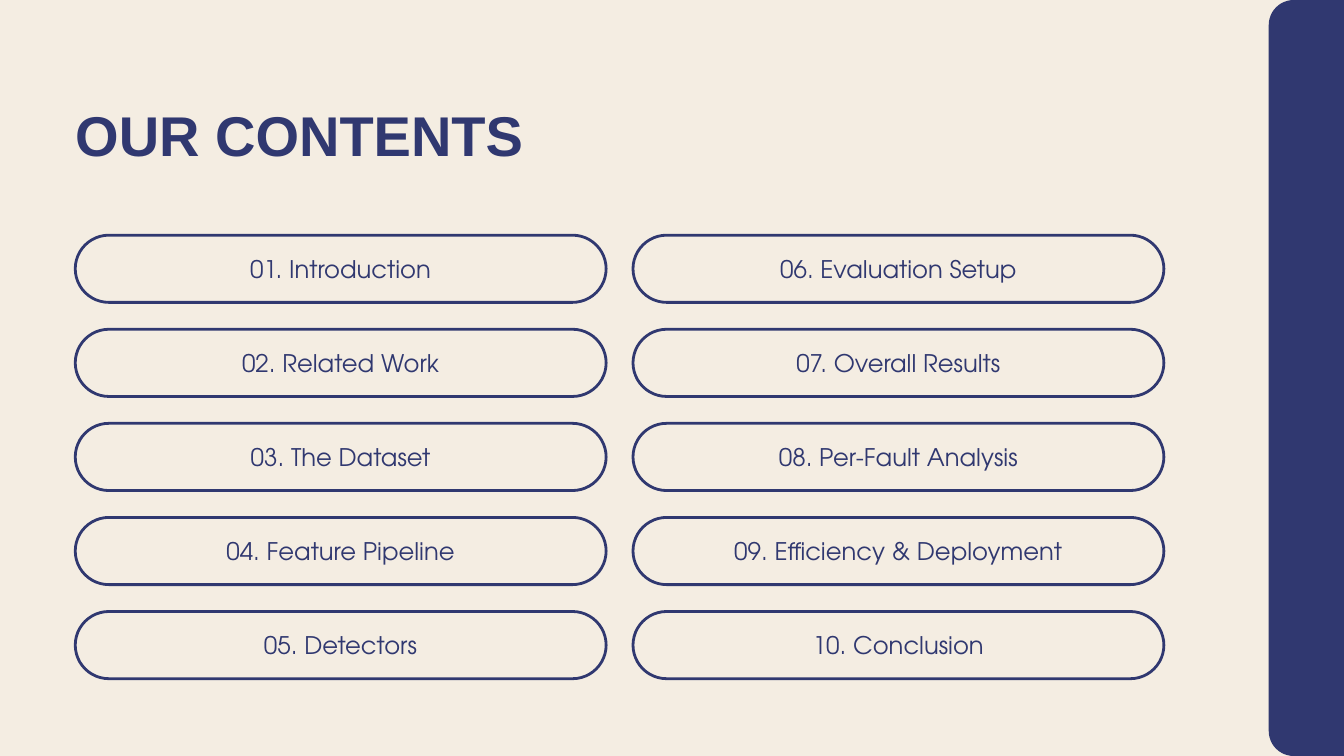
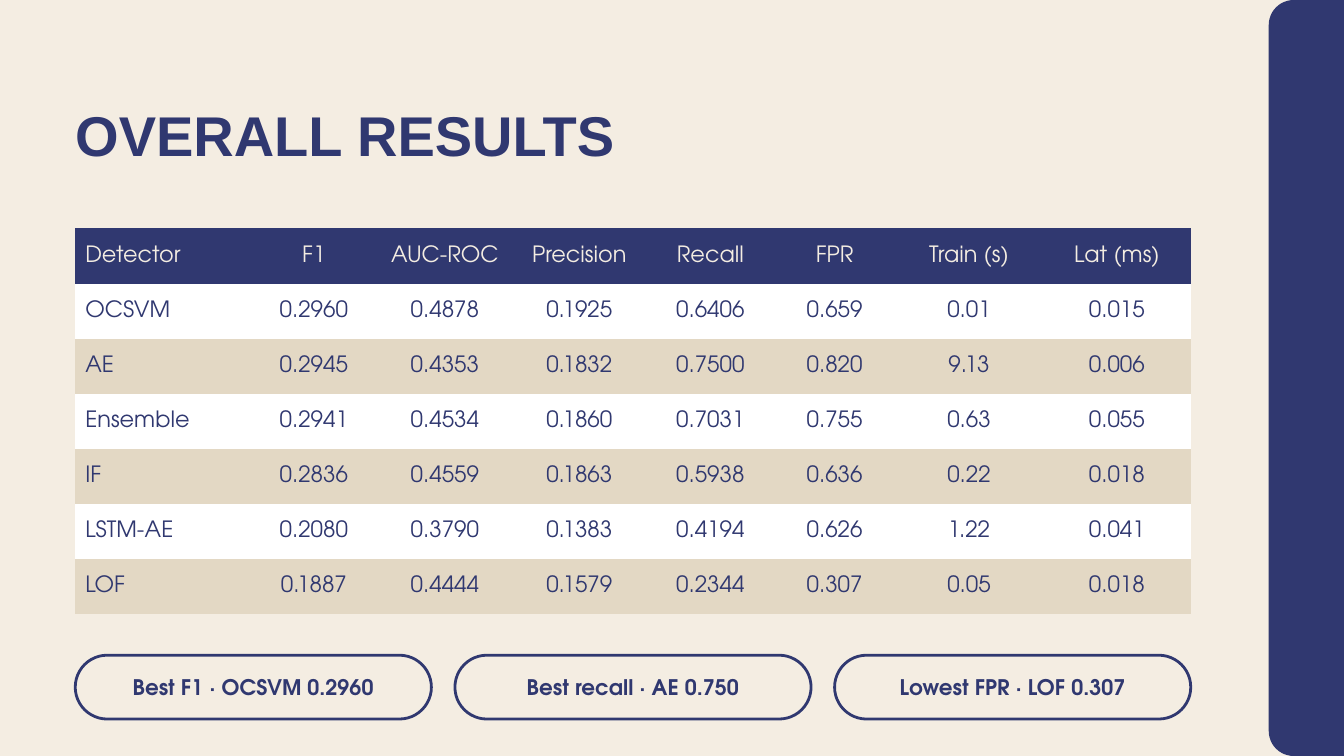
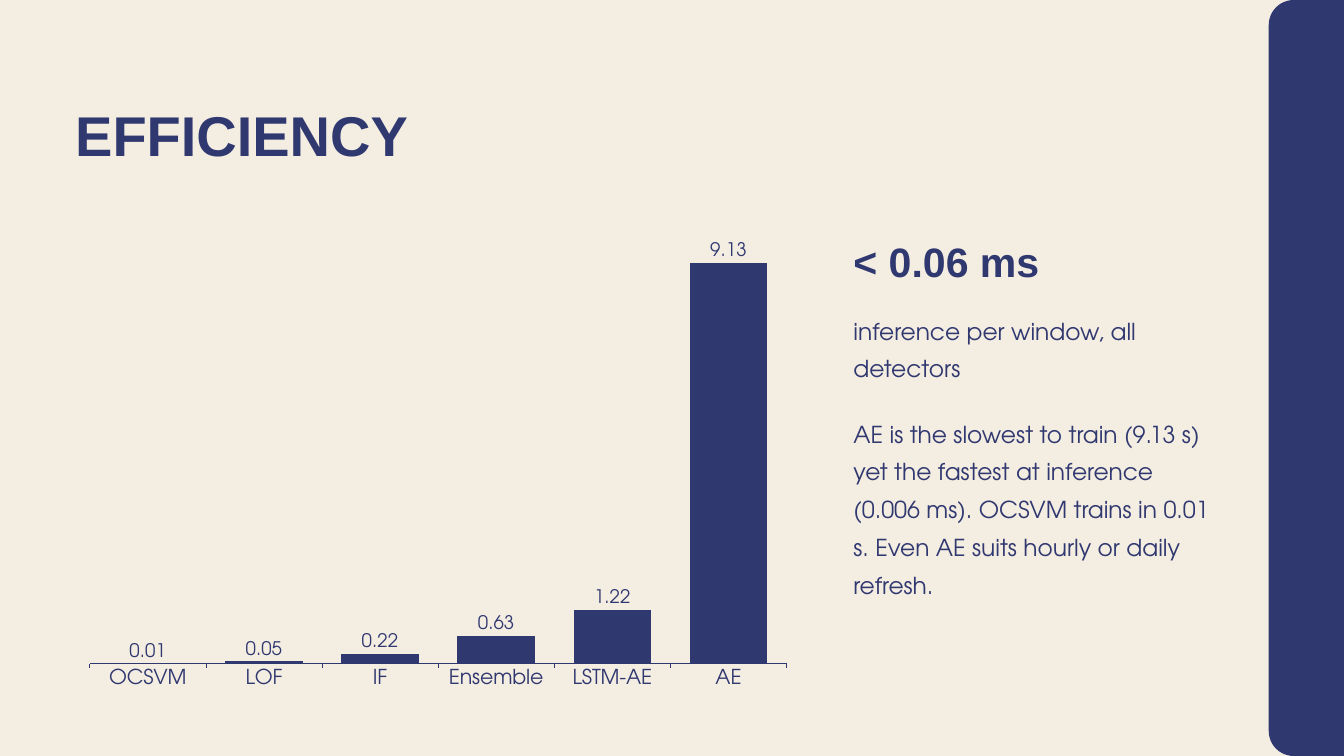
from dataclasses import dataclass
from typing import NamedTuple

from pptx import Presentation
from pptx.chart.data import CategoryChartData as Data
from pptx.dml.color import RGBColor as Rgb
from pptx.enum.chart import XL_CHART_TYPE as Kind
from pptx.enum.chart import XL_LABEL_POSITION as Spot
from pptx.enum.chart import XL_TICK_MARK as Tick
from pptx.enum.shapes import MSO_SHAPE as Form
from pptx.enum.text import MSO_ANCHOR as Anchor
from pptx.enum.text import MSO_AUTO_SIZE as Fit
from pptx.enum.text import PP_ALIGN as Align
from pptx.util import Inches, Pt


@dataclass(frozen=True)
class Theme:
    navy: Rgb = Rgb.from_string("303870")
    cream: Rgb = Rgb.from_string("F4EDE2")
    sand: Rgb = Rgb.from_string("E3D8C4")
    white: Rgb = Rgb.from_string("FFFFFF")
    head: str = "Arial"
    body: str = "TeX Gyre Adventor"
    title: int = 60
    stat: int = 44
    item: int = 26
    text: int = 25
    cell: int = 24
    badge: int = 23
    axis: int = 22
    label: int = 20


class Box(NamedTuple):
    x: float
    y: float
    w: float
    h: float

    def emu(self):
        return [Inches(v) for v in self]


T = Theme()
LEFT = 1.12
PLAIN = "{2D5ABB26-0587-4C30-8999-92F81FD0307C}"  # table style without grid

ITEMS = [
    "Introduction", "Related Work", "The Dataset", "Feature Pipeline", "Detectors",
    "Evaluation Setup", "Overall Results", "Per-Fault Analysis",
    "Efficiency & Deployment", "Conclusion",
]
COLS = [2.6, 1.9, 2, 2, 1.9, 1.8, 2.2, 2.2]
ROWS = [
    ["Detector", "F1", "AUC-ROC", "Precision", "Recall", "FPR", "Train (s)", "Lat (ms)"],
    ["OCSVM", "0.2960", "0.4878", "0.1925", "0.6406", "0.659", "0.01", "0.015"],
    ["AE", "0.2945", "0.4353", "0.1832", "0.7500", "0.820", "9.13", "0.006"],
    ["Ensemble", "0.2941", "0.4534", "0.1860", "0.7031", "0.755", "0.63", "0.055"],
    ["IF", "0.2836", "0.4559", "0.1863", "0.5938", "0.636", "0.22", "0.018"],
    ["LSTM-AE", "0.2080", "0.3790", "0.1383", "0.4194", "0.626", "1.22", "0.041"],
    ["LOF", "0.1887", "0.4444", "0.1579", "0.2344", "0.307", "0.05", "0.018"],
]
BADGES = ["Best F1 · OCSVM 0.2960", "Best recall · AE 0.750", "Lowest FPR · LOF 0.307"]
TIMES = {"OCSVM": 0.01, "LOF": 0.05, "IF": 0.22, "Ensemble": 0.63, "LSTM-AE": 1.22, "AE": 9.13}
NOTE = (
    "AE is the slowest to train (9.13 s) yet the fastest at inference (0.006 ms). "
    "OCSVM trains in 0.01 s. Even AE suits hourly or daily refresh."
)


# Formatting helpers
def put(obj, vals):
    for name, val in vals.items():
        setattr(obj, name, val)


def pad(obj, side, edge=0):
    names = {"left": side, "right": side, "top": edge, "bottom": edge}
    put(obj, {f"margin_{name}": Inches(val) for name, val in names.items()})


def style(font, size, color=T.navy, name=T.body, bold=False):
    put(font, {"size": Pt(size), "name": name, "bold": bold})
    font.color.rgb = color


def paint(fill, color):
    fill.solid()
    fill.fore_color.rgb = color


def write(frame, text, size, align=Align.LEFT, lead=None, **look):
    para = frame.paragraphs[0]
    put(para, {"alignment": align, "line_spacing": lead})
    run = para.add_run()
    run.text = text
    style(run.font, size, **look)


# Shared parts
def label(slide, box, text, size, lead, **look):
    frame = slide.shapes.add_textbox(*box.emu()).text_frame
    put(frame, {"word_wrap": True, "auto_size": Fit.SHAPE_TO_FIT_TEXT})
    pad(frame, 0)
    write(frame, text, size, lead=lead, **look)


def pill(slide, box, text, size, bold=False):
    shape = slide.shapes.add_shape(Form.ROUNDED_RECTANGLE, *box.emu())
    shape.adjustments[0] = 0.5
    shape.shadow.inherit = False
    shape.fill.background()
    shape.line.width = Pt(3)
    shape.line.color.rgb = T.navy
    frame = shape.text_frame
    put(frame, {"word_wrap": True, "vertical_anchor": Anchor.MIDDLE})
    pad(frame, 0.25)
    write(frame, text, size, Align.CENTER, bold=bold)


def base(deck, title):
    slide = deck.slides.add_slide(deck.slide_layouts[6])
    paint(slide.background.fill, T.cream)
    # Side band, running past the right edge
    band = slide.shapes.add_shape(Form.ROUNDED_RECTANGLE, *Box(18.88, 0, 3.38, 11.25).emu())
    band.adjustments[0] = 0.11
    band.shadow.inherit = False
    paint(band.fill, T.navy)
    band.line.fill.background()
    label(slide, Box(LEFT, 1.45, 16, 1.3), title, T.title, 1.05, name=T.head, bold=True)
    return slide


# Contents: two columns of pills, filled downwards
def menu(slide, box, gap=0.4):
    deep = len(ITEMS) // 2
    wide = (box.w - gap) / 2
    high = (box.h - gap * (deep - 1)) / deep
    for i, text in enumerate(ITEMS):
        col, row = divmod(i, deep)
        spot = Box(box.x + col * (wide + gap), box.y + row * (high + gap), wide, high)
        pill(slide, spot, f"{i + 1:02}. {text}", T.item)


# Results: table of scores
def grid(slide, box):
    table = slide.shapes.add_table(len(ROWS), len(COLS), *box.emu()).table
    put(table, {"first_row": False, "horz_banding": False})
    table._tbl.tblPr[0].text = PLAIN
    for col, wide in zip(table.columns, COLS):
        col.width = Inches(wide)
    for r, row in enumerate(ROWS):
        table.rows[r].height = Inches(box.h / len(ROWS))
        back = T.navy if r == 0 else T.white if r % 2 else T.sand
        ink = T.navy if r else T.cream
        for c, text in enumerate(row):
            cell = table.cell(r, c)
            cell.vertical_anchor = Anchor.MIDDLE
            pad(cell, 0.15, 0.05)
            paint(cell.fill, back)
            write(cell.text_frame, text, T.cell, Align.CENTER if c else Align.LEFT, color=ink)


# Results: row of best scores
def badges(slide, box, gap=0.35):
    wide = (box.w - gap * (len(BADGES) - 1)) / len(BADGES)
    for i, text in enumerate(BADGES):
        spot = Box(box.x + i * (wide + gap), box.y, wide, box.h)
        pill(slide, spot, text, T.badge, bold=True)


# Efficiency: training time by detector
def bars(slide, box):
    data = Data(number_format="0.00")
    data.categories = list(TIMES)
    data.add_series("Series 1", list(TIMES.values()))
    chart = slide.shapes.add_chart(Kind.COLUMN_CLUSTERED, *box.emu(), data).chart
    put(chart, {"has_legend": False, "has_title": False})
    style(chart.font, T.axis)
    put(chart.value_axis, {"visible": False, "has_major_gridlines": False})
    axis = chart.category_axis
    put(axis, {"major_tick_mark": Tick.OUTSIDE, "has_major_gridlines": False})
    axis.format.line.width = Pt(0.75)
    axis.format.line.color.rgb = T.navy
    plot = chart.plots[0]
    put(plot, {"gap_width": 50, "vary_by_categories": False, "has_data_labels": True})
    paint(plot.series[0].format.fill, T.navy)
    tags = plot.data_labels
    put(tags, {"show_value": True, "number_format": "0.00",
               "number_format_is_linked": False, "position": Spot.OUTSIDE_END})
    style(tags.font, T.label)


# Efficiency: key figure with its comment
def facts(slide, box):
    x, y, w, h = box
    label(slide, Box(x, y, w, 1.1), "< 0.06 ms", T.stat, 1.3, name=T.head, bold=True)
    label(slide, Box(x, y + 1.3, w, 0.5), "inference per window, all detectors", T.text, 1.3)
    label(slide, Box(x, y + 2.8, w, h - 2.8), NOTE, T.text, 1.35)


def main():
    deck = Presentation()
    put(deck, {"slide_width": Inches(20), "slide_height": Inches(11.25)})

    menu(base(deck, "OUR CONTENTS"), Box(LEFT, 3.5, 16.2, 6.6))

    slide = base(deck, "OVERALL RESULTS")
    grid(slide, Box(LEFT, 3.4, sum(COLS), 5.74))
    badges(slide, Box(LEFT, 9.75, sum(COLS), 0.95))

    slide = base(deck, "EFFICIENCY")
    bars(slide, Box(LEFT, 3.2, 10.8, 7.2))
    facts(slide, Box(12.7, 3.3, 5.4, 7.1))

    deck.save("out.pptx")


if __name__ == "__main__":
    main()
